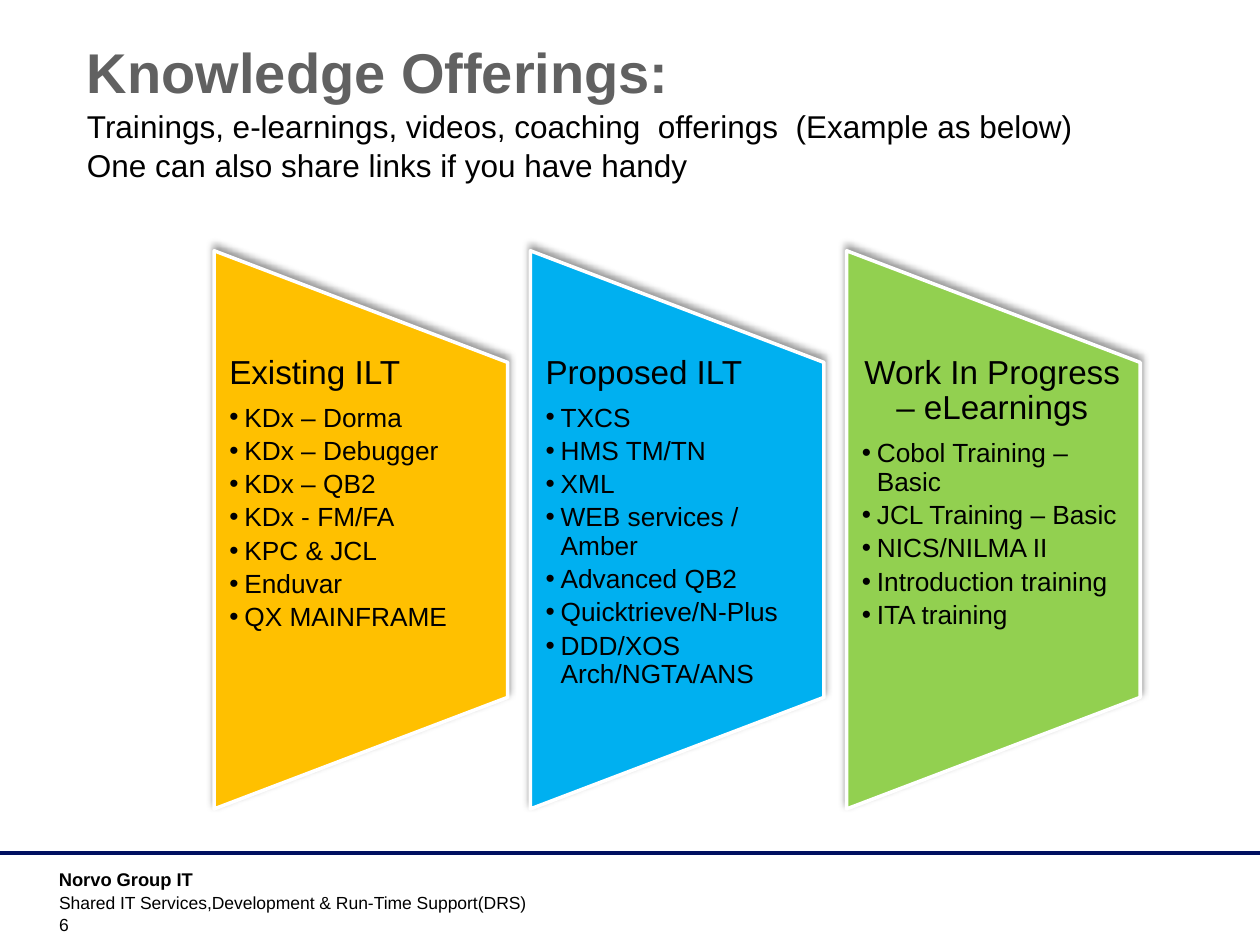
from dataclasses import dataclass
from typing import NamedTuple

from lxml import etree
from pptx import Presentation
from pptx import util as u
from pptx.dml.color import RGBColor
from pptx.enum import shapes, text
from pptx.oxml import parse_xml
from pptx.oxml.ns import nsdecls, qn

FONT = "Arial"
BLACK = "000000"
WIDTH, HEIGHT = u.Inches(10), u.Inches(7.5)
COLUMNS, ROWS = 100, 75


class Area(NamedTuple):
    """A place on the grid, in columns and rows."""
    left: float
    top: float
    width: float
    height: float

    def lengths(self) -> tuple:
        return (across(self.left), down(self.top),
                across(self.width), down(self.height))


@dataclass
class Offering:
    heading: str
    items: list[str]
    fill: str
    align: text.PP_ALIGN = text.PP_ALIGN.LEFT


# Three panels of equal width at an equal pitch
PANEL = Area(17, 19.9, 23.3, 44.3)
PANEL_TEXT = Area(16.9, 28.2, 23.3, 26.6)
PITCH = 25.1
OFFERINGS = [
    Offering("Existing ILT",
             ["KDx – Dorma", "KDx – Debugger", "KDx – QB2", "KDx - FM/FA",
              "KPC & JCL", "Enduvar", "QX MAINFRAME"], "FFC000"),
    Offering("Proposed ILT",
             ["TXCS", "HMS TM/TN", "XML", "WEB services / Amber",
              "Advanced QB2", "Quicktrieve/N-Plus",
              "DDD/XOS Arch/NGTA/ANS"], "00B0F0"),
    Offering("Work In Progress – eLearnings",
             ["Cobol Training – Basic", "JCL Training – Basic",
              "NICS/NILMA II", "Introduction training", "ITA training"],
             "92D050", text.PP_ALIGN.CENTER),
]


def across(columns: float) -> int:
    return round(WIDTH * columns / COLUMNS)


def down(rows: float) -> int:
    return round(HEIGHT * rows / ROWS)


def colour(value: str) -> RGBColor:
    return RGBColor.from_string(value)


def apply(target, values: dict) -> None:
    for name, value in values.items():
        setattr(target, name, value)


def place(box, area: Area) -> None:
    apply(box, dict(zip(("left", "top", "width", "height"), area.lengths())))


def write(para, words: str, size: float, shade: str = BLACK,
          bold: bool = False, **layout) -> None:
    span = para.add_run()
    span.text = words
    apply(span.font, {"name": FONT, "size": u.Pt(size), "bold": bold})
    span.font.color.rgb = colour(shade)
    apply(para, layout)


def next_para(frame, index: int):
    return frame.paragraphs[0] if index == 0 else frame.add_paragraph()


def set_bullet(para, bulleted: bool) -> None:
    props = para._p.get_or_add_pPr()
    indent = u.Inches(0.12) if bulleted else 0
    props.set("marL", str(indent))
    props.set("indent", str(-indent))
    if bulleted:
        etree.SubElement(props, qn("a:buFont")).set("typeface", FONT)
        etree.SubElement(props, qn("a:buChar")).set("char", "•")
    else:
        etree.SubElement(props, qn("a:buNone"))


def add_title(page) -> None:
    title = page.shapes.title
    place(title, Area(5.9, 2.1, 87.4, 16.5))
    frame = title.text_frame
    apply(frame, {"word_wrap": True, "auto_size": text.MSO_AUTO_SIZE.NONE,
                  "vertical_anchor": text.MSO_ANCHOR.TOP,
                  "margin_top": u.Inches(0.09)})
    lines = [
        ("Knowledge Offerings:", 32, "616161", True),
        ("Trainings, e-learnings, videos, coaching  offerings  "
         "(Example as below)", 18, BLACK, False),
        ("One can also share links if you have handy", 18, BLACK, False),
    ]
    for index, line in enumerate(lines):
        write(next_para(frame, index), *line, alignment=text.PP_ALIGN.LEFT,
              space_before=u.Pt(1 if index else 0))


def add_panel(page, offering: Offering, index: int) -> None:
    """Draw a panel on its side, turned about its centre."""
    left, top, width, height = PANEL._replace(
        left=PANEL.left + index * PITCH).lengths()
    shift = (height - width) // 2
    panel = page.shapes.add_shape(
        shapes.MSO_SHAPE.FLOWCHART_MANUAL_OPERATION,
        left - shift, top + shift, height, width)
    panel.rotation = 270
    panel.fill.solid()
    panel.fill.fore_color.rgb = colour(offering.fill)
    panel.line.color.rgb = colour("FFFFFF")
    panel.line.width = u.Pt(2)
    panel._element.spPr.append(parse_xml(
        f'<a:effectLst {nsdecls("a")}><a:outerShdw blurRad="{u.Pt(4)}" '
        f'dist="{u.Pt(3)}" dir="16200000" rotWithShape="0">'
        f'<a:srgbClr val="{BLACK}"><a:alpha val="40000"/></a:srgbClr>'
        '</a:outerShdw></a:effectLst>'))


def fill_list(page, box, offering: Offering, index: int) -> None:
    place(box, PANEL_TEXT._replace(left=PANEL_TEXT.left + index * PITCH))
    page.shapes._spTree.append(box._element)  # bring in front of the panel
    frame = box.text_frame
    apply(frame, {"word_wrap": True, "auto_size": text.MSO_AUTO_SIZE.NONE,
                  "vertical_anchor": text.MSO_ANCHOR.TOP,
                  "margin_left": u.Inches(0.13),
                  "margin_right": u.Inches(0.13),
                  "margin_top": 0, "margin_bottom": 0})
    for row, words in enumerate([offering.heading, *offering.items]):
        para = next_para(frame, row)
        bulleted = row > 0
        write(para, words, 15 if bulleted else 19,
              alignment=text.PP_ALIGN.LEFT if bulleted else offering.align,
              line_spacing=0.9, space_before=u.Pt(0),
              space_after=u.Pt(2.8 if bulleted else 7.5))
        set_bullet(para, bulleted)


def add_label(page, words: str, area: Area, size: float, bold: bool = False,
              anchor=text.MSO_ANCHOR.TOP) -> None:
    frame = page.shapes.add_textbox(*area.lengths()).text_frame
    apply(frame, {"word_wrap": True, "vertical_anchor": anchor})
    write(frame.paragraphs[0], words, size, bold=bold)


def add_footer(page) -> None:
    rule = page.shapes.add_connector(shapes.MSO_CONNECTOR.STRAIGHT,
                                     0, down(67.7), WIDTH, down(67.7))
    rule.line.color.rgb = colour("000F60")
    rule.line.width = u.Pt(2)
    etree.SubElement(rule._element.spPr, qn("a:effectLst"))
    add_label(page, "Norvo Group IT", Area(3.7, 68.4, 23.3, 2.4), 10.5, True)
    add_label(page, "Shared IT Services,Development & Run-Time Support(DRS)",
              Area(3.7, 70.3, 75.2, 2.4), 10)
    add_label(page, "6", Area(3.7, 72.4, 5.5, 2.3), 10,
              anchor=text.MSO_ANCHOR.BOTTOM)


def main() -> None:
    deck = Presentation()
    deck.slide_width, deck.slide_height = WIDTH, HEIGHT
    page = deck.slides.add_slide(deck.slide_layouts.get_by_name("Comparison"))

    # Title and the three lists on their panels
    add_title(page)
    bodies = [box for box in page.placeholders
              if box.placeholder_format.idx > 0]
    for index, (offering, box) in enumerate(zip(OFFERINGS, bodies)):
        add_panel(page, offering, index)
        fill_list(page, box, offering, index)
    for spare in bodies[len(OFFERINGS):]:
        page.shapes._spTree.remove(spare._element)

    # Footer
    add_footer(page)
    deck.save("out.pptx")


if __name__ == "__main__":
    main()
